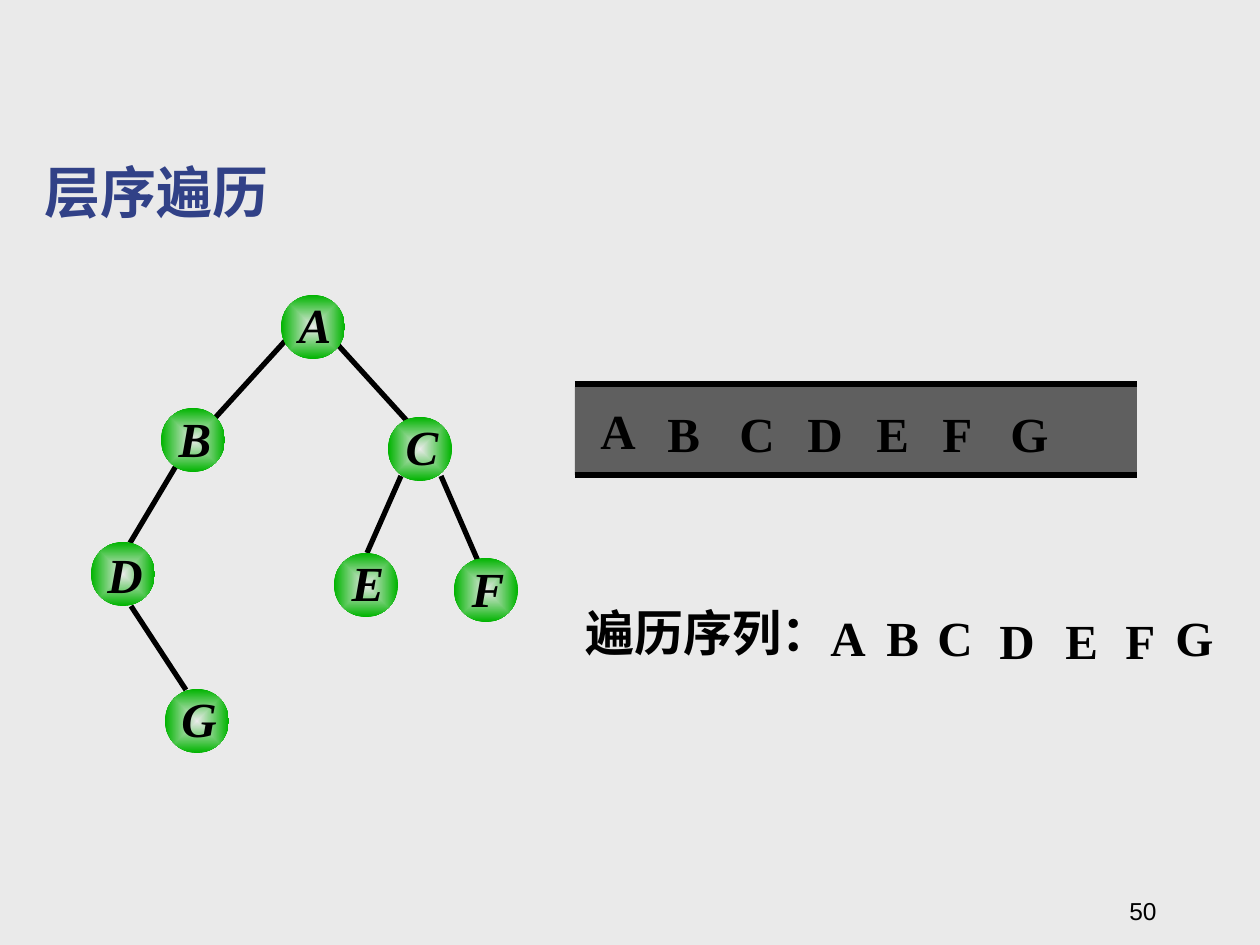
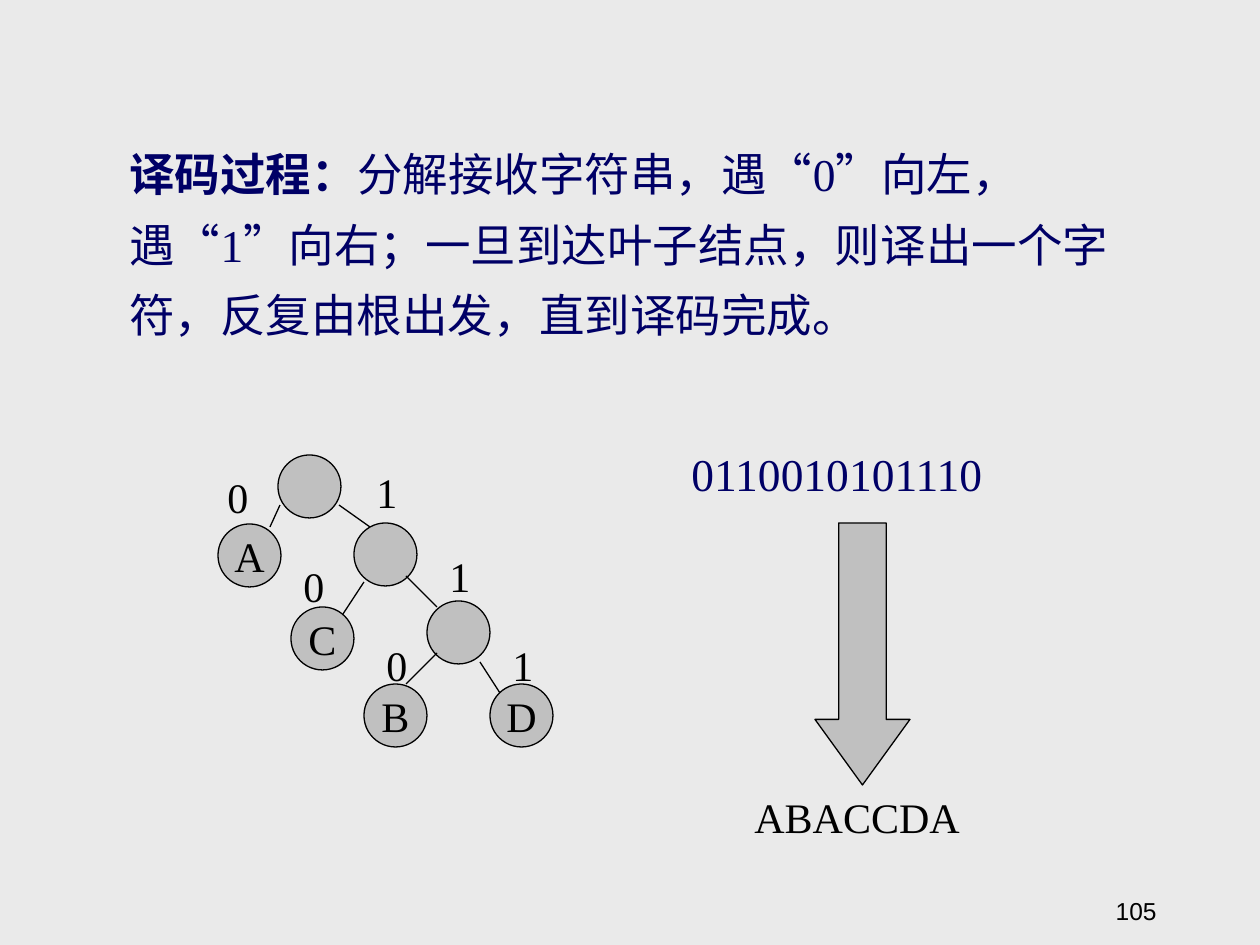
from lxml import etree
from pptx import Presentation
from pptx.dml.color import RGBColor
from pptx.enum.shapes import MSO_CONNECTOR, MSO_SHAPE
from pptx.enum.text import MSO_ANCHOR, PP_ALIGN
from pptx.oxml import parse_xml
from pptx.oxml.ns import nsdecls, qn
from pptx.util import Emu, Pt

OVAL, RECTANGLE, DOWN_ARROW = MSO_SHAPE.OVAL, MSO_SHAPE.RECTANGLE, MSO_SHAPE.DOWN_ARROW
STRAIGHT = MSO_CONNECTOR.STRAIGHT
LEFT, CENTER, RIGHT = PP_ALIGN.LEFT, PP_ALIGN.CENTER, PP_ALIGN.RIGHT
TOP, MIDDLE, BOTTOM = MSO_ANCHOR.TOP, MSO_ANCHOR.MIDDLE, MSO_ANCHOR.BOTTOM

# Shared look
PX_PER_INCH = 126
SERIF, SANS, CJK = "Times New Roman", "Arial", "Noto Sans CJK SC"
BACKGROUND, BLACK, TITLE_BLUE, NAVY = "EAEAEA", "000000", "314187", "000066"
GREEN, BAND_GRAY, NODE_GRAY = "00B400", "5F5F5F", "C0C0C0"
PAGE_NUMBER_BOX = (907, 869, 262, 63)

# Level-order slide: node (letter, left, top, label top), edge (x1, y1, x2, y2)
GREEN_NODE_SIZE = 64
GREEN_NODES = [
    ("A", 281, 295, 289), ("B", 161, 408, 403), ("C", 388, 417, 411),
    ("D", 91, 542, 539), ("E", 334, 553, 547), ("F", 454, 558, 553),
    ("G", 165, 689, 683),
]
GREEN_EDGES = [
    (286, 340, 215, 418), (338, 345, 408, 422), (176, 466, 130, 543),
    (131, 606, 186, 690), (401, 476, 367, 553), (441, 476, 478, 561),
]
QUEUE_BAND = (575, 387, 562, 88)
QUEUE_RAILS = [384, 475]
LETTER_SIZE = (66, 72)
QUEUE_LETTERS = [
    ("A", 588, 394), ("B", 655, 397), ("C", 727, 397), ("D", 795, 397),
    ("E", 864, 397), ("F", 930, 397), ("G", 998, 397),
]
VISITED_LETTERS = [
    ("A", 818, 601), ("B", 874, 601), ("C", 925, 601), ("D", 987, 604),
    ("E", 1053, 604), ("F", 1113, 604), ("G", 1163, 601),
]

# Decoding slide
DECODING_RULE = [
    ("译码过程：", True),
    ("分解接收字符串，遇“0”向左，遇“1”向右；一旦到达叶子结点，"
     "则译出一个字符，反复由根出发，直到译码完成。", False),
]
CODE_NODE_SIZE = 63
CODE_NODES = [
    ("", 278, 455), ("", 354, 523), ("", 427, 601), ("A", 218, 524),
    ("C", 291, 607), ("B", 364, 684), ("D", 490, 684),
]
CODE_EDGES = [
    (280, 505, 270, 527), (339, 505, 370, 527), (364, 582, 343, 614),
    (437, 653, 406, 684), (480, 662, 500, 693), (406, 576, 437, 607),
]
BIT_SIZE = (73, 63)
BITS = [
    ("0", 215, 465), ("0", 291, 554), ("0", 374, 633),
    ("1", 364, 460), ("1", 437, 544), ("1", 500, 633),
]


def px(length):
    return Emu(round(length * 914400 / PX_PER_INCH))


def rgb(color):
    return RGBColor.from_string(color)


def style_paragraph(paragraph, size, color=BLACK, name=SERIF, bold=False,
                    italic=False, align=LEFT):
    paragraph.alignment = align
    font = paragraph.font
    font.size, font.name, font.bold, font.italic = Pt(size), name, bold, italic
    font.color.rgb = rgb(color)
    east_asian = etree.SubElement(paragraph._p.pPr.find(qn("a:defRPr")), qn("a:ea"))
    east_asian.set("typeface", CJK)


def add_text(slide, box, runs, size, anchor=TOP, **style):
    """Runs are one string, or a list of (text, bold)."""
    frame = slide.shapes.add_textbox(*map(px, box)).text_frame
    frame.word_wrap = True
    frame.vertical_anchor = anchor
    paragraph = frame.paragraphs[0]
    if isinstance(runs, str):
        paragraph.add_run().text = runs
    else:
        for text, bold in runs:
            run = paragraph.add_run()
            run.text = text
            run.font.bold = bold
    style_paragraph(paragraph, size, **style)
    return frame


def add_shape(slide, kind, box, fill, outlined=False):
    shape = slide.shapes.add_shape(kind, *map(px, box))
    shape.shadow.inherit = False
    shape.fill.solid()
    shape.fill.fore_color.rgb = rgb(fill)
    if outlined:
        shape.line.color.rgb = rgb(BLACK)
        shape.line.width = Pt(0.75)
    else:
        shape.line.fill.background()
    return shape


def add_line(slide, ends, width):
    line = slide.shapes.add_connector(STRAIGHT, *map(px, ends))
    line.line.color.rgb = rgb(BLACK)
    line.line.width = Pt(width)
    etree.SubElement(line._element.spPr, qn("a:effectLst"))


def glow_from_center(shape, inner, outer):
    gradient = parse_xml(
        f'<a:gradFill {nsdecls("a")} rotWithShape="1"><a:gsLst>'
        f'<a:gs pos="0"><a:srgbClr val="{inner}"/></a:gs>'
        f'<a:gs pos="100000"><a:srgbClr val="{outer}"/></a:gs></a:gsLst>'
        '<a:path path="rect"><a:fillToRect l="50000" t="50000" r="50000" b="50000"/>'
        '</a:path></a:gradFill>')
    properties = shape._element.spPr
    properties.replace(properties.find(qn("a:solidFill")), gradient)


def add_slide(presentation, page_number):
    slide = presentation.slides.add_slide(presentation.slide_layouts[6])
    add_text(slide, PAGE_NUMBER_BOX, page_number, 14, BOTTOM, name=SANS, align=RIGHT)
    return slide


def build_level_order(presentation):
    slide = add_slide(presentation, "50")
    add_text(slide, (32, 151, 735, 81), "层序遍历", 32,
             color=TITLE_BLUE, name=CJK, bold=True)

    # Binary tree
    for ends in GREEN_EDGES:
        add_line(slide, ends, 3)
    for letter, left, top, label_top in GREEN_NODES:
        node = add_shape(slide, OVAL, (left, top, GREEN_NODE_SIZE, GREEN_NODE_SIZE), GREEN)
        glow_from_center(node, BACKGROUND, GREEN)
        frame = add_text(slide, (left + 7, label_top, 54, 84), letter, 28,
                         bold=True, italic=True, align=CENTER)
        frame.margin_left = frame.margin_right = frame.margin_bottom = 0
        frame.margin_top = px(5)

    # Queue between two rails
    add_shape(slide, RECTANGLE, QUEUE_BAND, BAND_GRAY)
    left, _, width, _ = QUEUE_BAND
    for y in QUEUE_RAILS:
        add_line(slide, (left, y, left + width, y), 3)

    # Letters in the queue and in the visiting sequence
    add_text(slide, (573, 596, 622, 72), "遍历序列：", 28, bold=True)
    for letter, left, top in QUEUE_LETTERS + VISITED_LETTERS:
        add_text(slide, (left, top, *LETTER_SIZE), letter, 28, bold=True)


def build_decoding(presentation):
    slide = add_slide(presentation, "105")
    rule = add_text(slide, (117, 123, 1046, 296), DECODING_RULE, 26, color=NAVY, bold=None)
    rule.paragraphs[0].line_spacing = 1.3

    # From bit string to decoded text
    arrow = add_shape(slide, DOWN_ARROW, (815, 523, 95, 262), NODE_GRAY, outlined=True)
    arrow.adjustments[0], arrow.adjustments[1] = 0.5, 0.69
    add_text(slide, (679, 440, 347, 68), "0110010101110", 26, color=NAVY)
    add_text(slide, (742, 785, 273, 63), "ABACCDA", 24)

    # Code tree
    for letter, left, top in CODE_NODES:
        node = add_shape(slide, OVAL, (left, top, CODE_NODE_SIZE, CODE_NODE_SIZE),
                         NODE_GRAY, outlined=True)
        if letter:
            frame = node.text_frame
            frame.word_wrap = False
            frame.vertical_anchor = MIDDLE
            frame.text = letter
            style_paragraph(frame.paragraphs[0], 24, align=CENTER)
    for ends in CODE_EDGES:
        add_line(slide, ends, 0.75)
    for bit, left, top in BITS:
        add_text(slide, (left, top, *BIT_SIZE), bit, 24)


def main():
    presentation = Presentation()
    presentation.slide_width, presentation.slide_height = px(1260), px(945)
    background = presentation.slide_master.background.fill
    background.solid()
    background.fore_color.rgb = rgb(BACKGROUND)
    build_level_order(presentation)
    build_decoding(presentation)
    presentation.save("out.pptx")


if __name__ == "__main__":
    main()
